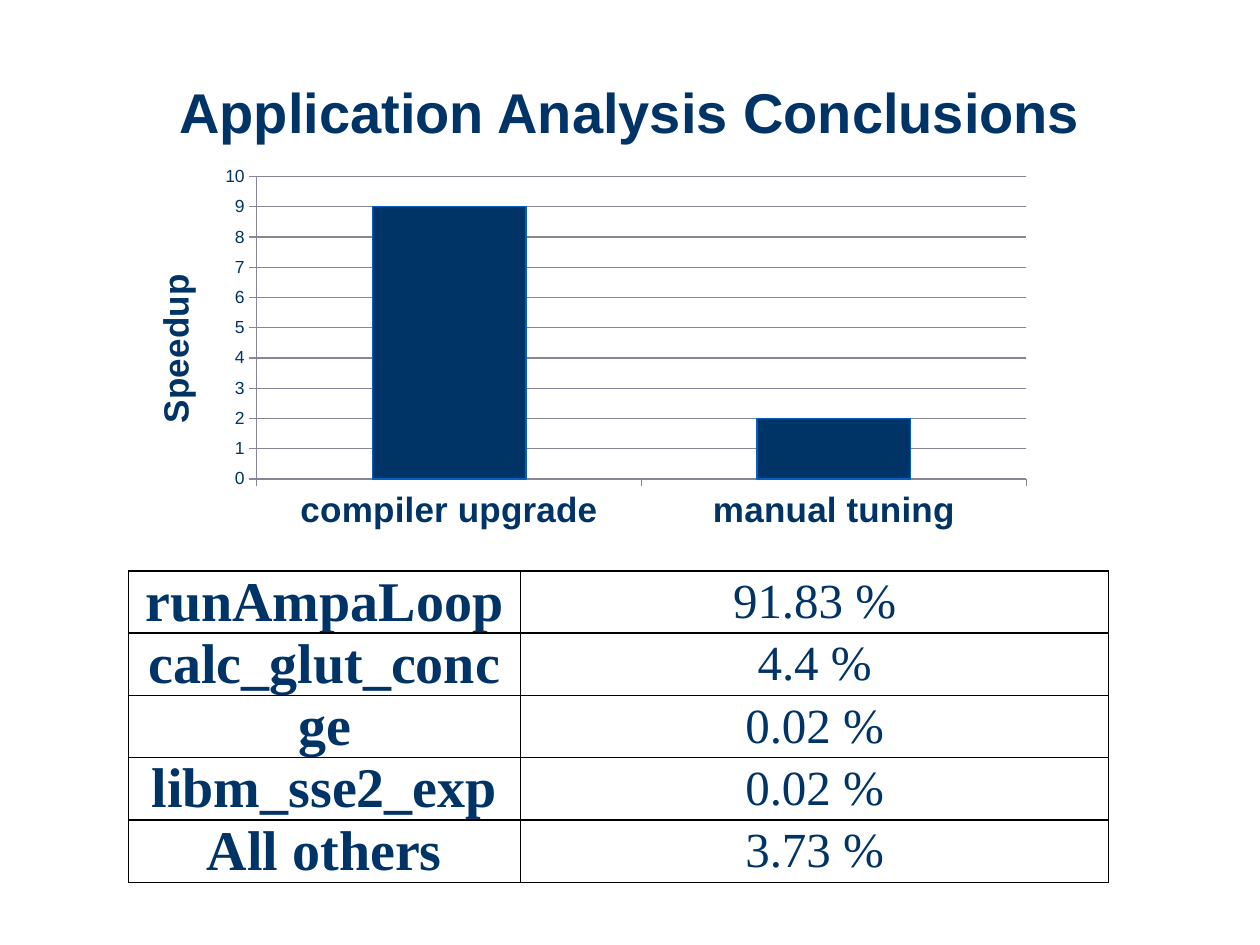
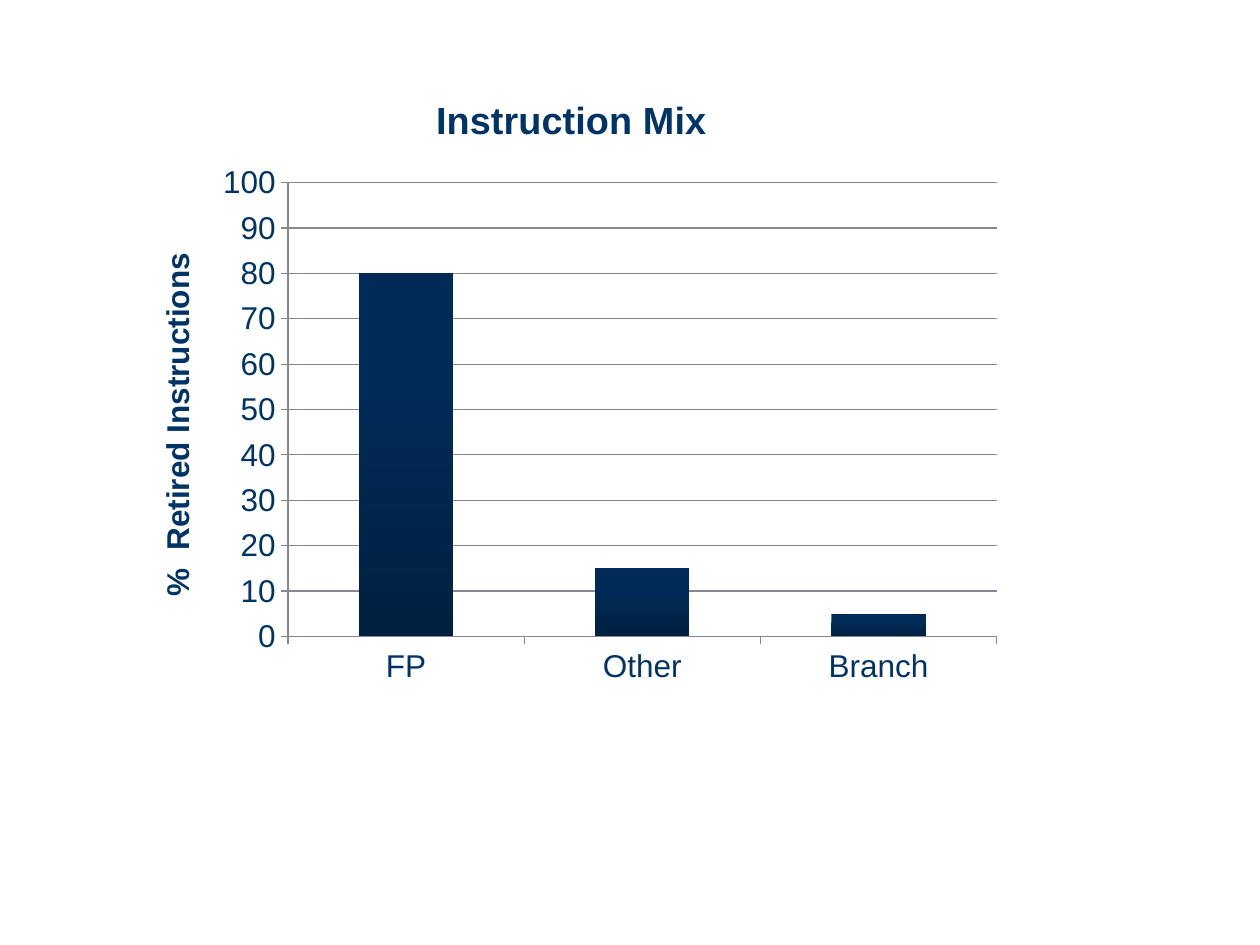
from lxml import etree
from pptx import Presentation
from pptx.chart.data import CategoryChartData
from pptx.dml.color import RGBColor
from pptx.enum.chart import XL_CHART_TYPE, XL_TICK_MARK
from pptx.enum.text import MSO_ANCHOR, PP_ALIGN
from pptx.oxml import parse_xml
from pptx.oxml.ns import nsdecls
from pptx.util import Cm, Pt

COLUMNS = XL_CHART_TYPE.COLUMN_CLUSTERED
OUTSIDE = XL_TICK_MARK.OUTSIDE
CENTER = PP_ALIGN.CENTER
MIDDLE = MSO_ANCHOR.MIDDLE

NAVY = RGBColor(0x00, 0x33, 0x66)
BAR_EDGE = RGBColor(0x00, 0x60, 0xC4)
BAR_TOP = RGBColor(0x00, 0x2B, 0x58)
BAR_BOTTOM = RGBColor(0x00, 0x20, 0x40)
GRID = RGBColor(0x86, 0x86, 0x98)
BORDER = "000000"

TITLE_FONT = {"name": "Arial", "size": Pt(32), "bold": True}
NAME_FONT = {"name": "Times New Roman", "size": Pt(32), "bold": True}
SHARE_FONT = {"name": "Times New Roman", "size": Pt(28), "bold": False}
CELL_FORMAT = {"margin_left": Cm(0.18), "margin_right": Cm(0.18),
               "margin_top": 0, "margin_bottom": 0,
               "vertical_anchor": MIDDLE}

PROFILE = [
    ("runAmpaLoop", "91.83 %"),
    ("calc_glut_conc", "4.4 %"),
    ("ge", "0.02 %"),
    ("libm_sse2_exp", "0.02 %"),
    ("All others", "3.73 %"),
]


def set_all(obj, values):
    for name, value in values.items():
        setattr(obj, name, value)


def set_font(font, values):
    set_all(font, values)
    font.color.rgb = NAVY


def arial(size, bold=False):
    return {"name": "Arial", "size": Pt(size), "bold": bold}


def set_line(line, color):
    line.color.rgb = color
    line.width = Pt(0.75)


def write(tf, text, values):
    p = tf.paragraphs[0]
    p.alignment = CENTER
    r = p.add_run()
    r.text = text
    set_font(r.font, values)
    return p


def add_title(s, text, box):
    sp = s.shapes.title
    set_all(sp, dict(zip(("left", "top", "width", "height"), box)))
    sp.text_frame.vertical_anchor = MIDDLE
    write(sp.text_frame, text, TITLE_FONT).line_spacing = 0.85


def place_plot(chart, x, y, w, h):
    layout = parse_xml(
        f'<c:layout {nsdecls("c")}><c:manualLayout><c:layoutTarget val="inner"/>'
        '<c:xMode val="edge"/><c:yMode val="edge"/>'
        f'<c:x val="{x}"/><c:y val="{y}"/><c:w val="{w}"/><c:h val="{h}"/>'
        '</c:manualLayout></c:layout>')
    area = chart.plots[0]._element.getparent()
    for old in area.findall(layout.tag):
        area.remove(old)
    area.insert(0, layout)


def add_columns(s, box, data, axis_title, top, step, fonts, plot_box):
    cd = CategoryChartData()
    cd.categories = list(data)
    cd.add_series("Series 1", list(data.values()))
    chart = s.shapes.add_chart(COLUMNS, *box, cd).chart
    set_all(chart, {"has_legend": False, "has_title": False})
    set_font(chart.font, fonts["values"])
    set_all(chart.plots[0], {"gap_width": 150, "vary_by_categories": False})
    value_axis, category_axis = chart.value_axis, chart.category_axis
    set_all(value_axis, {"minimum_scale": 0, "maximum_scale": top,
                         "major_unit": step, "has_major_gridlines": True})
    set_line(value_axis.major_gridlines.format.line, GRID)
    for axis, key in ((value_axis, "values"), (category_axis, "categories")):
        axis.major_tick_mark = OUTSIDE
        set_line(axis.format.line, GRID)
        set_font(axis.tick_labels.font, fonts[key])
    write(value_axis.axis_title.text_frame, axis_title, fonts["title"])
    place_plot(chart, *plot_box)
    return chart


def add_border(cell):
    tc_pr = cell._tc.get_or_add_tcPr()
    for side in ("lnL", "lnR", "lnT", "lnB"):
        ln = parse_xml(f'<a:{side} {nsdecls("a")} w="12700"/>')
        fill = etree.SubElement(ln, ln.tag.replace(side, "solidFill"))
        etree.SubElement(fill, ln.tag.replace(side, "srgbClr"), val=BORDER)
        tc_pr.append(ln)


def add_profile_table(s, box, rows):
    table = s.shapes.add_table(len(rows), 2, *box).table
    set_all(table, {"first_row": False, "horz_banding": False})
    name_width = int(box[2] * 0.4)
    table.columns[0].width = name_width
    table.columns[1].width = box[2] - name_width
    for i, row in enumerate(rows):
        for j, (text, font) in enumerate(zip(row, (NAME_FONT, SHARE_FONT))):
            cell = table.cell(i, j)
            set_all(cell, CELL_FORMAT)
            add_border(cell)
            cell.fill.background()
            write(cell.text_frame, text, font)


def build_conclusions(prs):
    s = prs.slides.add_slide(prs.slide_layouts[5])
    add_title(s, "Application Analysis Conclusions",
              (Cm(1.27), Cm(0.76), Cm(22.86), Cm(3.18)))
    chart = add_columns(
        s, (Cm(2.59), Cm(3.18), Cm(18.47), Cm(7.62)),
        {"compiler upgrade": 9, "manual tuning": 2}, "Speedup", 10, 1,
        {"values": arial(10), "categories": arial(20, True),
         "title": arial(20, True)},
        (0.14, 0.05, 0.84, 0.8))
    bars = chart.plots[0].series[0].format
    bars.fill.solid()
    bars.fill.fore_color.rgb = NAVY
    set_line(bars.line, BAR_EDGE)
    add_profile_table(s, (Cm(2.59), Cm(11.51), Cm(19.76), Cm(6.25)), PROFILE)


def build_instruction_mix(prs):
    s = prs.slides.add_slide(prs.slide_layouts[6])
    chart = add_columns(
        s, (Cm(2.59), Cm(1.4), Cm(17.86), Cm(12.7)),
        {"FP": 80, "Other": 15, "Branch": 5}, "%  Retired Instructions", 100, 10,
        {"values": arial(18), "categories": arial(18),
         "title": arial(18, True)},
        (0.18, 0.18, 0.8, 0.72))
    write(chart.chart_title.text_frame, "Instruction Mix", arial(21.6, True))
    chart.chart_title.include_in_layout = False
    bars = chart.plots[0].series[0].format
    bars.fill.gradient()
    bars.fill.gradient_angle = 270
    stops = ((0.3, BAR_TOP), (1, BAR_BOTTOM))
    for stop, (position, color) in zip(bars.fill.gradient_stops, stops):
        stop.position = position
        stop.color.rgb = color
    bars.line.fill.background()


def main():
    prs = Presentation()
    set_all(prs, {"slide_width": Cm(25.4), "slide_height": Cm(19.05)})
    build_conclusions(prs)
    build_instruction_mix(prs)
    prs.save("out.pptx")


if __name__ == "__main__":
    main()
